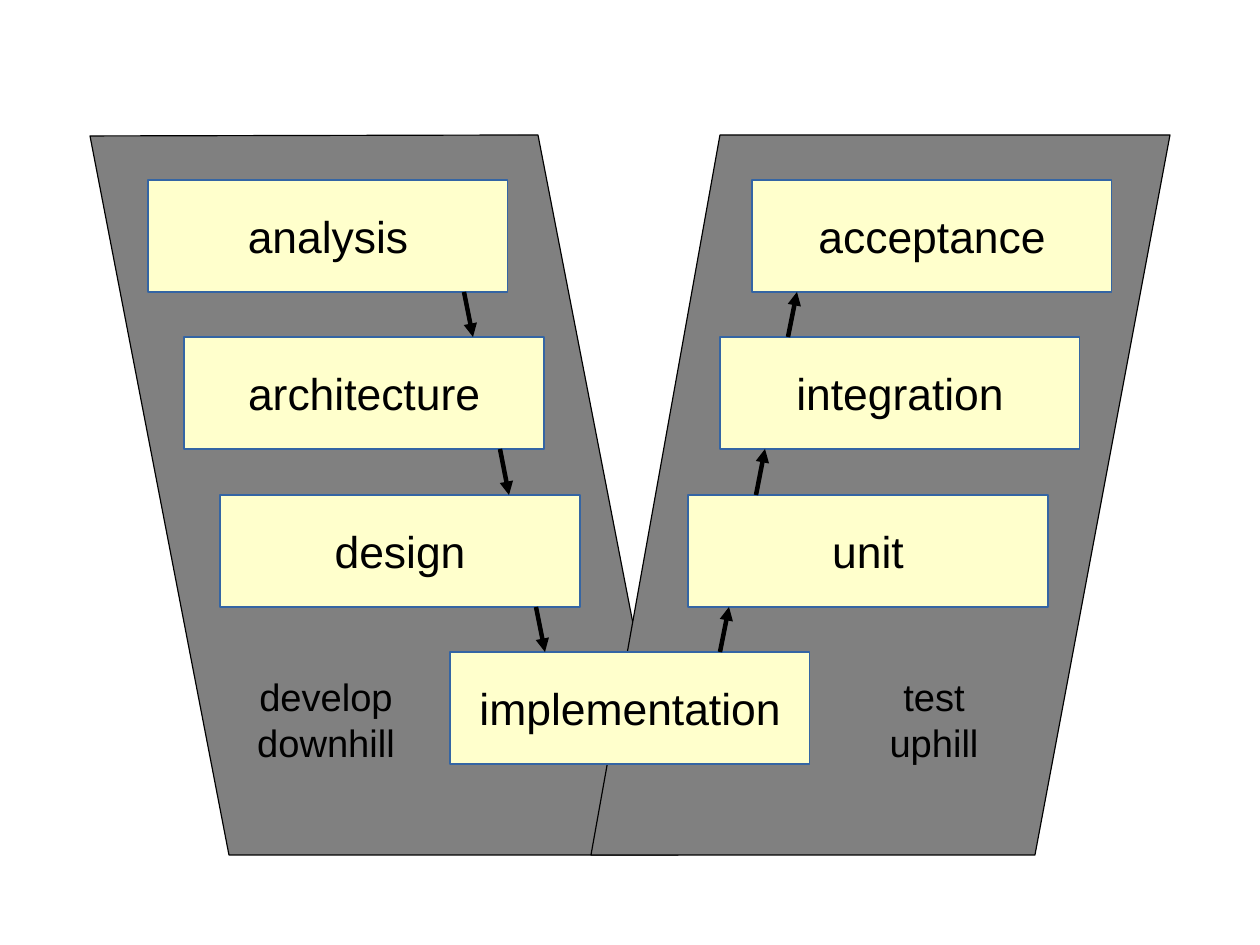
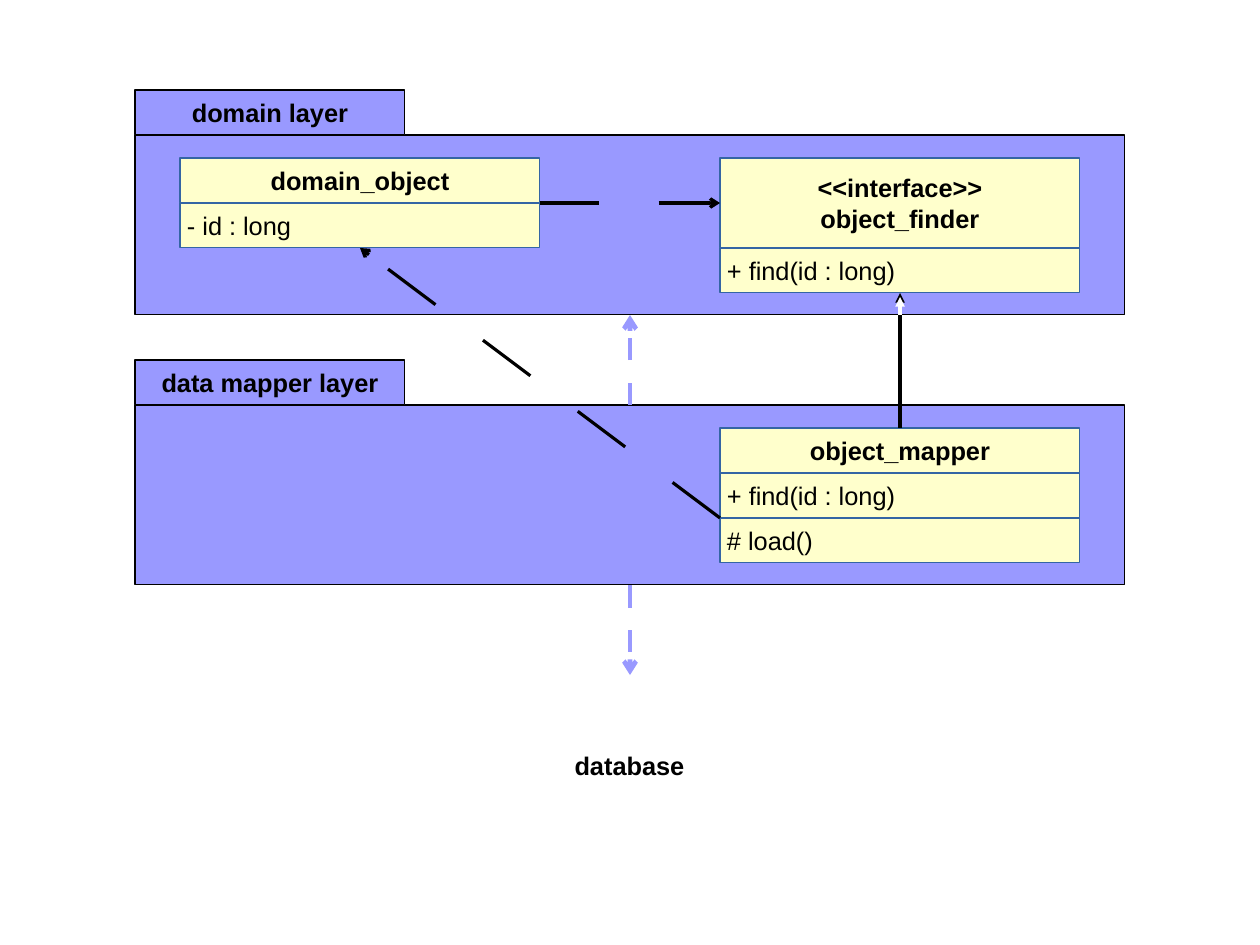
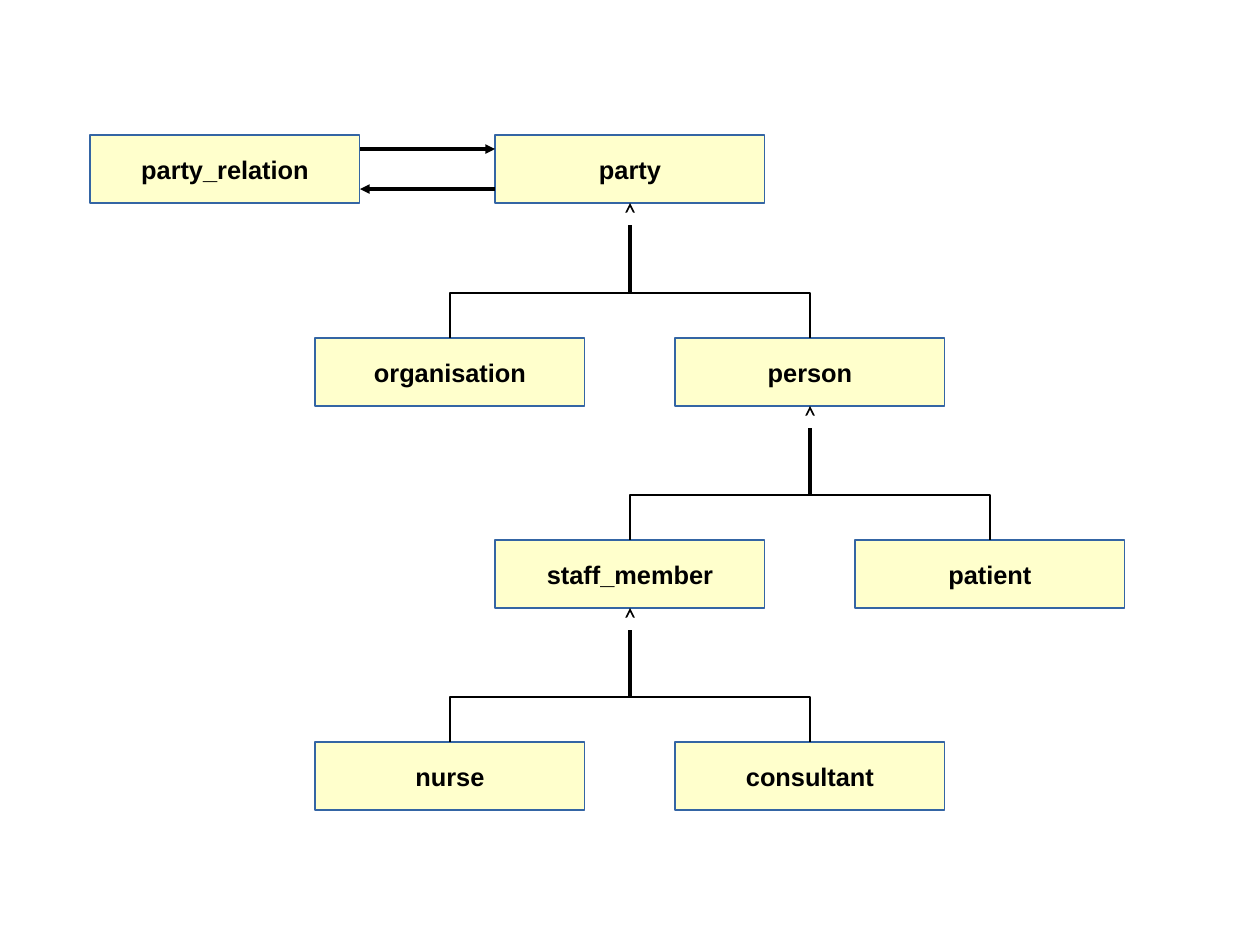
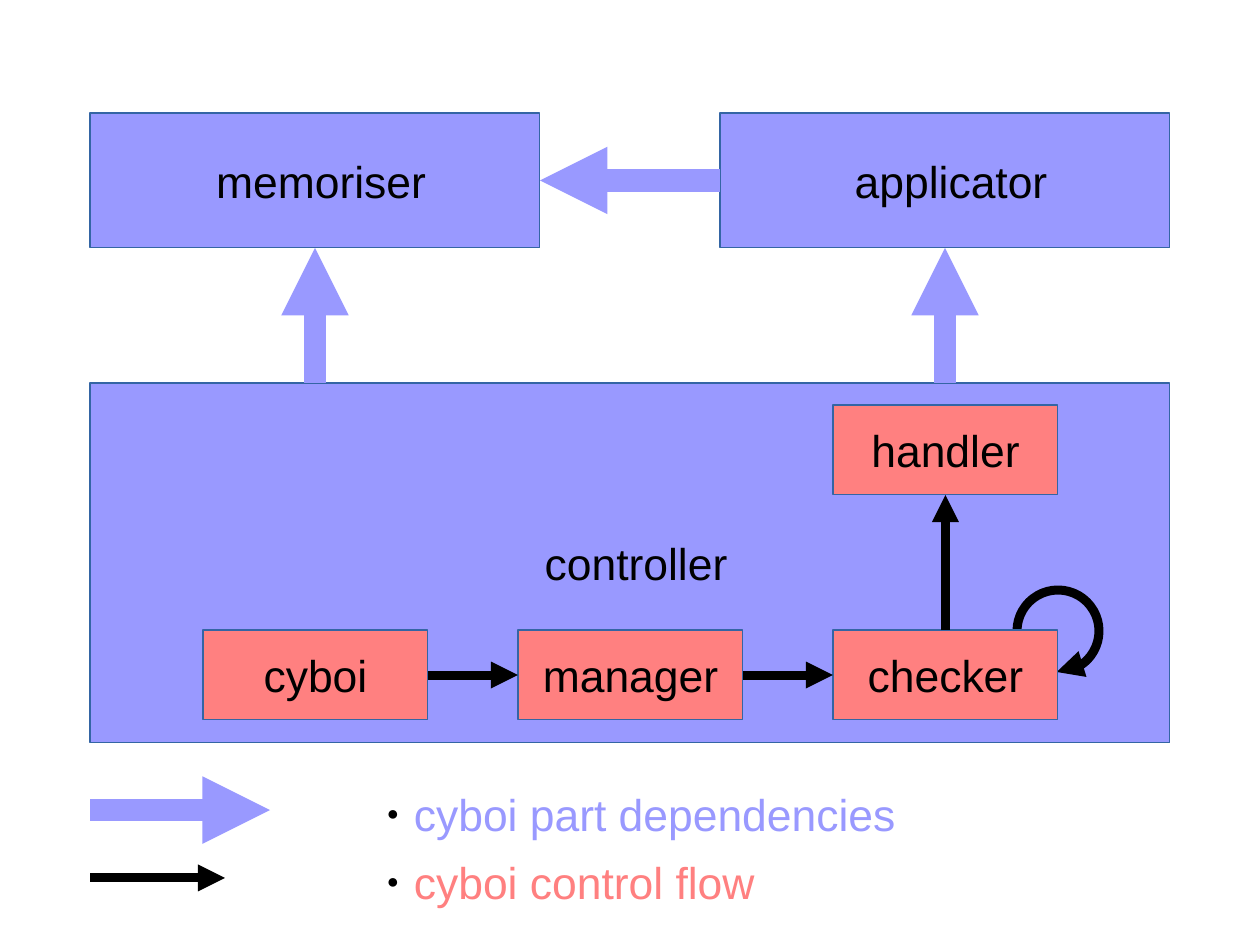
from dataclasses import dataclass
from typing import NamedTuple, Optional

from lxml import etree
from pptx import Presentation
from pptx import util as u
from pptx.dml.color import RGBColor
from pptx.enum import shapes, text
from pptx.oxml.ns import qn

PX = 8000


@dataclass(frozen=True)
class Theme:
    font: str = "Arial"
    black: str = "000000"
    white: str = "FFFFFF"
    grey: str = "808080"
    cream: str = "FFFFCC"
    violet: str = "9999FF"
    coral: str = "FF8080"
    edge: str = "3465A4"
    small: int = 16
    medium: int = 24
    large: int = 28
    hairline: float = 0
    thin: float = 2.83
    thick: float = 5.67
    broad: float = 14.17


T = Theme()
LEFT, CENTER = text.PP_ALIGN.LEFT, text.PP_ALIGN.CENTER
TOP, BOTTOM_SIDE, LEFT_SIDE, RIGHT_SIDE = 0, 2, 1, 3


class Point(NamedTuple):
    x: int
    y: int


class Joint(NamedTuple):
    shape: object
    side: int


@dataclass(frozen=True)
class Box:
    label: str
    x: int
    y: int
    w: int
    h: int
    fill: str = T.cream
    edge: str = T.edge
    size: int = T.small
    bold: bool = False
    align: int = CENTER
    indent: int = 0


@dataclass(frozen=True)
class UmlClass:
    title: str
    x: int
    y: int
    title_h: int
    members: tuple


@dataclass(frozen=True)
class Family:
    parent: str
    children: tuple


def px(n: int) -> int:
    return u.Emu(n * PX)


def rgb(color: str) -> RGBColor:
    return RGBColor.from_string(color)


def put_text(sp, label: str, *, size: int = T.small, color: str = T.black,
             bold: bool = False, align: int = CENTER, indent: int = 0,
             anchor: int = text.MSO_ANCHOR.MIDDLE, bullet: str = "") -> None:
    tf = sp.text_frame
    tf.word_wrap = True
    tf.vertical_anchor = anchor
    tf.margin_left = px(indent)
    tf.margin_top = tf.margin_right = tf.margin_bottom = 0
    for i, line in enumerate(label.split("\n")):
        p = tf.add_paragraph() if i else tf.paragraphs[0]
        p.alignment = align
        if bullet:
            add_bullet(p, bullet)
        r = p.add_run()
        r.text = line
        r.font.name = T.font
        r.font.size = u.Pt(size)
        r.font.bold = bold
        r.font.color.rgb = rgb(color)


def add_bullet(p, char: str) -> None:
    pPr = p._p.get_or_add_pPr()
    pPr.set("marL", str(px(54)))
    pPr.set("indent", str(px(-27)))
    color = etree.SubElement(pPr, qn("a:buClr"))
    etree.SubElement(color, qn("a:srgbClr"), val=T.black)
    etree.SubElement(pPr, qn("a:buSzPct"), val="45000")
    etree.SubElement(pPr, qn("a:buFont"), typeface=T.font)
    etree.SubElement(pPr, qn("a:buChar"), char=char)


def style(sp, fill: Optional[str], edge: str, width: float = T.hairline) -> None:
    sp.shadow.inherit = False
    if fill:
        sp.fill.solid()
        sp.fill.fore_color.rgb = rgb(fill)
    else:
        sp.fill.background()
    sp.line.color.rgb = rgb(edge)
    sp.line.width = u.Pt(width)


def add_head(sp, kind: str) -> None:
    ln = sp._element.spPr.find(qn("a:ln"))
    etree.SubElement(ln, qn("a:tailEnd"), type=kind, w="med", len="med")


def add_dash(sp, percent: int) -> None:
    ln = sp._element.spPr.find(qn("a:ln"))
    dash = etree.SubElement(ln, qn("a:custDash"))
    length = str(percent * 1000)
    etree.SubElement(dash, qn("a:ds"), d=length, sp=length)


def add_box(s, box: Box):
    sp = s.shapes.add_shape(shapes.MSO_SHAPE.RECTANGLE,
                            px(box.x), px(box.y), px(box.w), px(box.h))
    style(sp, box.fill, box.edge)
    if box.label:
        put_text(sp, box.label, size=box.size, bold=box.bold,
                 align=box.align, indent=box.indent)
    return sp


def add_label(s, label: str, x: int, y: int, w: int, h: int, **fmt) -> None:
    sp = s.shapes.add_textbox(px(x), px(y), px(w), px(h))
    put_text(sp, label, **fmt)


def add_outline(s, points: list, fill: Optional[str] = None,
                closed: bool = True) -> None:
    first, *rest = points
    builder = s.shapes.build_freeform(*first, scale=PX)
    builder.add_line_segments(rest, close=closed)
    style(builder.convert_to_shape(), fill, T.black)


def add_arrow(s, start, end, *, color: str = T.black, width: float = T.hairline,
              head: str = "triangle", dash: int = 0) -> None:
    ends = [Point(0, 0) if isinstance(e, Joint) else e for e in (start, end)]
    sp = s.shapes.add_connector(shapes.MSO_CONNECTOR.STRAIGHT,
                                *(px(n) for point in ends for n in point))
    if isinstance(start, Joint):
        sp.begin_connect(*start)
    if isinstance(end, Joint):
        sp.end_connect(*end)
    sp.line.color.rgb = rgb(color)
    sp.line.width = u.Pt(width)
    if dash:
        add_dash(sp, dash)
    add_head(sp, head)
    etree.SubElement(sp._element.spPr, qn("a:effectLst"))


def add_inheritance(s, start, end: Joint) -> None:
    add_arrow(s, start, end)
    parent = end.shape
    x = (parent.left + parent.width // 2) // PX
    bottom = (parent.top + parent.height) // PX
    add_arrow(s, Point(x, bottom + 22), Point(x, bottom + 4), color=T.white)


def v_model(s) -> None:
    add_outline(s, [(229, 855), (90, 136), (538, 135), (678, 855)], T.grey)
    add_outline(s, [(720, 135), (591, 855), (1035, 855), (1170, 135)], T.grey)
    w, h = 360, 112
    rows = [180 + i * 315 // 2 for i in range(4)]
    develop = ("analysis", "architecture", "design")
    test = ("acceptance", "integration", "unit")
    boxes = [(label, 148 + 36 * i, rows[i]) for i, label in enumerate(develop)]
    boxes += [(label, 752 - 32 * i, rows[i]) for i, label in enumerate(test)]
    boxes.append(("implementation", 450, rows[3]))
    for label, x, y in boxes:
        add_box(s, Box(label, x, y, w, h, size=T.large))
    for i, up_x in enumerate((788, 756, 720)):
        down_x = 464 + 36 * i
        upper, lower = rows[i] + h, rows[i + 1]
        add_arrow(s, Point(down_x, upper), Point(down_x + 9, lower), width=T.thin)
        add_arrow(s, Point(up_x, lower), Point(up_x + 9, upper), width=T.thin)
    for label, x in (("test\nuphill", 810), ("develop\ndownhill", 202)):
        add_label(s, label, x, 652, 248, 135, size=T.medium)


def add_package(s, title: str, y: int):
    body = add_box(s, Box("", 135, y + 45, 990, 180, T.violet, T.black))
    add_box(s, Box(title, 135, y, 270, 45, T.violet, T.black, bold=True))
    return body


def add_class(s, uml: UmlClass) -> list:
    parts = [add_box(s, Box(uml.title, uml.x, uml.y, 360, uml.title_h, bold=True))]
    for i, member in enumerate(uml.members):
        y = uml.y + uml.title_h + 45 * i
        parts.append(add_box(s, Box(member, uml.x, y, 360, 45,
                                    align=LEFT, indent=7)))
    return parts


def data_mapper(s) -> None:
    domain = add_package(s, "domain layer", 90)
    mapping = add_package(s, "data mapper layer", 360)
    entity, finder, mapper = (add_class(s, uml) for uml in (
        UmlClass("domain_object", 180, 158, 45, ("- id : long",)),
        UmlClass("<<interface>>\nobject_finder", 720, 158, 90,
                 ("+ find(id : long)",)),
        UmlClass("object_mapper", 720, 428, 45,
                 ("+ find(id : long)", "# load()")),
    ))
    hair_dash, thin_dash = 1855, 500
    add_arrow(s, Point(540, 203), Point(720, 203), head="arrow", dash=hair_dash)
    for start, end in ((Joint(mapping, TOP), Joint(domain, BOTTOM_SIDE)),
                       (Joint(mapping, BOTTOM_SIDE), Point(630, 675))):
        add_arrow(s, start, end, color=T.violet, width=T.thin,
                  head="arrow", dash=thin_dash)
    add_label(s, "database", 562, 743, 135, 45, bold=True)
    add_inheritance(s, Joint(mapper[0], TOP), Joint(finder[-1], BOTTOM_SIDE))
    add_arrow(s, Point(720, 518), Joint(entity[-1], BOTTOM_SIDE),
              head="arrow", dash=hair_dash)


def party_tree(s) -> None:
    w, h = 270, 68
    places = {
        "party_relation": Point(90, 135), "party": Point(495, 135),
        "organisation": Point(315, 338), "person": Point(675, 338),
        "staff_member": Point(495, 540), "patient": Point(855, 540),
        "nurse": Point(315, 742), "consultant": Point(675, 742),
    }
    boxes = {name: add_box(s, Box(name, at.x, at.y, w, h, bold=True))
             for name, at in places.items()}
    for family in (Family("party", ("organisation", "person")),
                   Family("person", ("staff_member", "patient")),
                   Family("staff_member", ("nurse", "consultant"))):
        stem_x = places[family.parent].x + w // 2
        for child in family.children:
            x, y = places[child].x + w // 2, places[child].y
            bar_y = y - 45
            add_outline(s, [(x, y), (x, bar_y), (stem_x, bar_y)], closed=False)
        add_inheritance(s, Point(stem_x, bar_y),
                        Joint(boxes[family.parent], BOTTOM_SIDE))
    add_arrow(s, Point(360, 149), Point(495, 149))
    add_arrow(s, Point(495, 189), Point(360, 189))


def add_loop(s, x: int, y: int, size: int) -> None:
    sp = s.shapes.add_shape(shapes.MSO_SHAPE.ARC, px(x), px(y), px(size), px(size))
    sp.adjustments[0] = 0
    sp.adjustments[1] = 163.09
    sp.rotation = 180
    style(sp, None, T.black, T.thick)
    add_head(sp, "triangle")


def interpreter(s) -> None:
    part = {"fill": T.violet, "size": T.large, "indent": 12}
    add_box(s, Box("controller", 90, 383, 1080, 360, **part))
    memoriser = add_box(s, Box("memoriser", 90, 113, 450, 135, **part))
    applicator = add_box(s, Box("applicator", 720, 113, 450, 135, **part))
    depends = {"color": T.violet, "width": T.broad}
    add_arrow(s, Point(945, 383), Joint(applicator, BOTTOM_SIDE), **depends)
    add_arrow(s, Point(315, 383), Joint(memoriser, BOTTOM_SIDE), **depends)
    add_arrow(s, Joint(applicator, LEFT_SIDE), Joint(memoriser, RIGHT_SIDE), **depends)

    add_loop(s, 1017, 590, 82)
    cyboi, manager, checker, handler = (
        add_box(s, Box(label, 203 + 315 * col, y, 225, 90, T.coral, size=T.large))
        for label, col, y in (("cyboi", 0, 630), ("manager", 1, 630),
                              ("checker", 2, 630), ("handler", 2, 405)))
    for start, end in ((Joint(cyboi, RIGHT_SIDE), Joint(manager, LEFT_SIDE)),
                       (Joint(manager, RIGHT_SIDE), Joint(checker, LEFT_SIDE)),
                       (Joint(checker, TOP), Joint(handler, BOTTOM_SIDE))):
        add_arrow(s, start, end, width=T.thick)

    for label, y, ink, length, color, width in (
            ("cyboi part dependencies", 810, T.violet, 180, T.violet, T.broad),
            ("cyboi control flow", 878, T.coral, 135, T.black, T.thick)):
        add_label(s, label, 360, y - 23, 540, 68, size=T.large, color=ink,
                  align=LEFT, anchor=text.MSO_ANCHOR.TOP, bullet="●")
        add_arrow(s, Point(90, y), Point(90 + length, y), color=color, width=width)


def main() -> None:
    prs = Presentation()
    prs.slide_width, prs.slide_height = px(1260), px(945)
    blank = prs.slide_layouts[6]
    for draw in (v_model, data_mapper, party_tree, interpreter):
        draw(prs.slides.add_slide(blank))
    prs.save("out.pptx")


if __name__ == "__main__":
    main()
